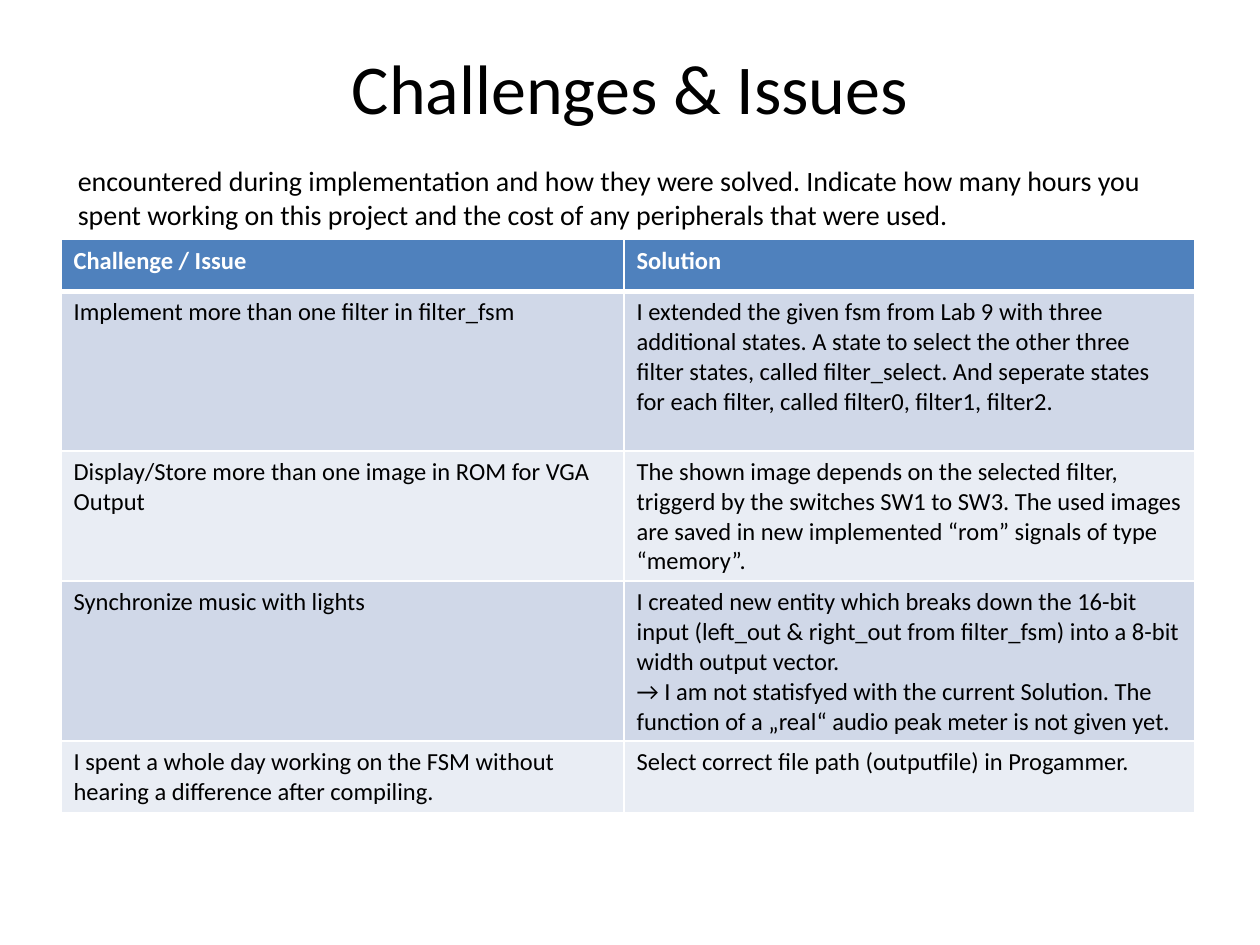
import lxml.etree
import pptx
import pptx.dml.color
import pptx.enum.text
import pptx.oxml.ns
import pptx.util

Cm = pptx.util.Cm
Pt = pptx.util.Pt
ALIGN = pptx.enum.text.PP_ALIGN
ANCHOR = pptx.enum.text.MSO_ANCHOR

COLOURS = {
    "text": "000000",
    "light": "FFFFFF",
    "header": "4F81BD",
    "odd": "D0D8E8",
    "even": "E9EDF4",
}
FORMATS = {
    "title": {"name": "Calibri", "size": Pt(40)},
    "intro": {"name": "Calibri", "size": Pt(16)},
    "header": {"name": "Calibri", "size": Pt(14), "bold": True},
    "body": {"name": "Calibri", "size": Pt(14), "bold": False},
}
INTRO = (
    "encountered during implementation and how they were solved. Indicate how many hours you "
    "spent working on this project and the cost of any peripherals that were used."
)
ROWS = [
    ("Challenge / Issue", "Solution"),
    (
        "Implement more than one filter in filter_fsm",
        "I extended the given fsm from Lab 9 with three additional states. A state to select "
        "the other three filter states, called filter_select. And seperate states for each "
        "filter, called filter0, filter1, filter2.",
    ),
    (
        "Display/Store more than one image in ROM for VGA Output",
        "The shown image depends on the selected filter, triggerd by the switches SW1 to SW3. "
        "The used images are saved in new implemented “rom” signals of type “memory”.",
    ),
    (
        "Synchronize music with lights",
        "I created new entity which breaks down the 16-bit input (left_out & right_out from "
        "filter_fsm) into a 8-bit width output vector.\n"
        "→ I am not statisfyed with the current Solution. The function of a „real“ audio peak "
        "meter is not given yet.",
    ),
    (
        "I spent a whole day working on the FSM without hearing a difference after compiling.",
        "Select correct file path (outputfile) in Progammer.",
    ),
]
COLUMN_WIDTHS = [11.35, 11.5]
ROW_HEIGHTS = [1.04, 3.22, 2.62, 3.22, 1.43]


class SlideBuilder:
    """Adds styled text boxes and tables to the current slide."""

    def __init__(self, slide, colours, formats):
        self.slide = slide
        self.colours = colours
        self.formats = formats

    def colour(self, name):
        return pptx.dml.color.RGBColor.from_string(self.colours[name])

    def fill_text(self, text_frame, text, style, colour, alignment=ALIGN.LEFT):
        text_frame.text = text
        for paragraph in text_frame.paragraphs:
            paragraph.alignment = alignment
            for run in paragraph.runs:
                for attribute, value in self.formats[style].items():
                    setattr(run.font, attribute, value)
                run.font.color.rgb = self.colour(colour)

    def text(self, box, text, style, alignment=ALIGN.LEFT, anchor=ANCHOR.TOP):
        shape = self.slide.shapes.add_textbox(*map(Cm, box))
        shape.text_frame.word_wrap = True
        shape.text_frame.vertical_anchor = anchor
        self.fill_text(shape.text_frame, text, style, "text", alignment)

    def borders(self, cell, widths):
        properties = cell._tc.get_or_add_tcPr()
        qn = pptx.oxml.ns.qn
        for index, (side, width) in enumerate(widths.items()):
            line = lxml.etree.Element(qn(f"a:ln{side}"), w=str(Pt(width)))
            fill = lxml.etree.SubElement(line, qn("a:solidFill"))
            lxml.etree.SubElement(fill, qn("a:srgbClr"), val=self.colours["light"])
            properties.insert(index, line)

    def table(self, left, top, column_widths, row_heights, rows):
        size = (sum(column_widths), sum(row_heights))
        table = self.slide.shapes.add_table(
            len(rows), len(column_widths), *map(Cm, (left, top, *size))
        ).table
        table.horz_banding = False
        for column, width in zip(table.columns, column_widths):
            column.width = Cm(width)
        for index, (row, height, texts) in enumerate(zip(table.rows, row_heights, rows)):
            row.height = Cm(height)
            header = index == 0
            fill = "header" if header else "odd" if index % 2 else "even"
            widths = {"L": 1, "R": 1, "T": 3 if index == 1 else 1, "B": 3 if header else 1}
            for cell, text in zip(row.cells, texts):
                cell.fill.solid()
                cell.fill.fore_color.rgb = self.colour(fill)
                self.borders(cell, widths)
                style, colour = ("header", "light") if header else ("body", "text")
                self.fill_text(cell.text_frame, text, style, colour)


def main():
    presentation = pptx.Presentation()
    presentation.slide_width = Cm(25.4)
    presentation.slide_height = Cm(19.05)
    slide = presentation.slides.add_slide(presentation.slide_layouts[6])
    builder = SlideBuilder(slide, COLOURS, FORMATS)
    builder.text(
        (1.27, 0.43, 22.86, 2.62), "Challenges & Issues", "title", ALIGN.CENTER, ANCHOR.MIDDLE
    )
    builder.text((1.32, 3.18, 22.86, 3), INTRO, "intro")
    builder.table(1.23, 4.83, COLUMN_WIDTHS, ROW_HEIGHTS, ROWS)
    presentation.save("out.pptx")


if __name__ == "__main__":
    main()
